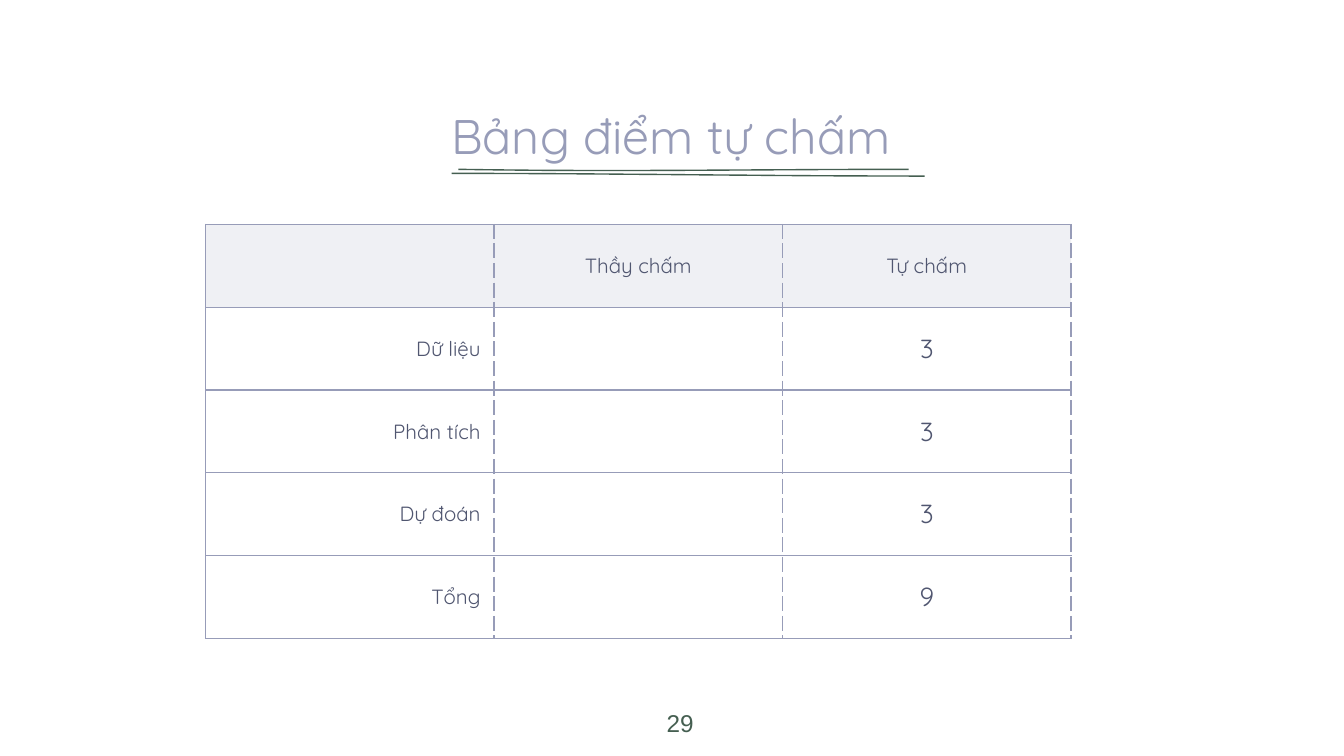
from dataclasses import dataclass

from lxml import etree
from pptx import Presentation
from pptx.dml.color import RGBColor
from pptx.enum.text import MSO_ANCHOR, MSO_AUTO_SIZE, PP_ALIGN
from pptx.oxml.ns import qn
from pptx.util import Inches, Pt

CENTER, RIGHT = PP_ALIGN.CENTER, PP_ALIGN.RIGHT
MIDDLE, BOTTOM = MSO_ANCHOR.MIDDLE, MSO_ANCHOR.BOTTOM
NO_AUTOFIT = MSO_AUTO_SIZE.NONE
TITLE_ONLY = 5


@dataclass(frozen=True)
class Theme:
    accent: str = "979CB8"
    body: str = "505670"
    green: str = "455F51"
    font: str = "Quicksand"
    number_font: str = "Arial"
    title_size: float = 26
    label_size: float = 11
    score_size: float = 14
    number_size: float = 13
    line_width: float = 0.75
    header_opacity: int = 15


THEME = Theme()

SCORES = [
    ("", "Thầy chấm", "Tự chấm"),
    ("Dữ liệu", "", "3"),
    ("Phân tích", "", "3"),
    ("Dự đoán", "", "3"),
    ("Tổng", "", "9"),
]

UNDERLINES = [
    [(3.41, 1.26), (4.53, 1.28), (5.64, 1.26), (6.76, 1.26)],
    [(3.36, 1.29), (4.53, 1.29), (5.71, 1.31), (6.88, 1.31)],
]


def format_paragraph(paragraph, size, color, alignment, font=THEME.font):
    paragraph.alignment = alignment
    paragraph.font.size = Pt(size)
    paragraph.font.name = font
    paragraph.font.bold = False
    paragraph.font.color.rgb = RGBColor.from_string(color)


def set_insets(frame, inset=0.1):
    frame.margin_left = frame.margin_right = Inches(inset)
    frame.margin_top = frame.margin_bottom = Inches(inset)


def curve_points(controls, steps=16):
    points = []
    for step in range(steps + 1):
        t = step / steps
        weights = ((1 - t) ** 3, 3 * t * (1 - t) ** 2, 3 * t**2 * (1 - t), t**3)
        points.append(tuple(
            Inches(sum(weight * control[axis] for weight, control in zip(weights, controls)))
            for axis in (0, 1)
        ))
    return points


def add_underline(slide, controls):
    start, *rest = curve_points(controls)
    builder = slide.shapes.build_freeform(*start)
    builder.add_line_segments(rest, close=False)
    underline = builder.convert_to_shape()
    underline.shadow.inherit = False
    underline.fill.background()
    underline.line.color.rgb = RGBColor.from_string(THEME.green)
    underline.line.width = Pt(THEME.line_width)


def set_title(slide, text):
    title = slide.shapes.title
    title.left, title.top = Inches(1.12), Inches(0.57)
    title.width, title.height = Inches(7.75), Inches(0.75)
    frame = title.text_frame
    frame.text = text
    frame.auto_size = NO_AUTOFIT
    frame.vertical_anchor = BOTTOM
    set_insets(frame)
    format_paragraph(frame.paragraphs[0], THEME.title_size, THEME.accent, CENTER)


def set_borders(cell, dashes):
    properties = cell._tc.get_or_add_tcPr()
    for index, (side, dash) in enumerate(dashes.items()):
        line = etree.Element(qn(f"a:ln{side}"), w=str(Pt(THEME.line_width)))
        fill = etree.SubElement(line, qn("a:solidFill"))
        etree.SubElement(fill, qn("a:srgbClr"), val=THEME.accent)
        etree.SubElement(line, qn("a:prstDash"), val=dash)
        properties.insert(index, line)


def fill_header(cell):
    cell.fill.solid()
    cell.fill.fore_color.rgb = RGBColor.from_string(THEME.accent)
    color = cell._tc.tcPr.find(f"{qn('a:solidFill')}/{qn('a:srgbClr')}")
    etree.SubElement(color, qn("a:alpha"), val=str(THEME.header_opacity * 1000))


def format_cell(cell, text, is_header, is_label):
    cell.text = text
    cell.vertical_anchor = MIDDLE
    cell.margin_left = cell.margin_right = Inches(0.1)
    cell.margin_top = cell.margin_bottom = Inches(0.07)
    size = THEME.label_size if is_header or is_label else THEME.score_size
    alignment = RIGHT if is_label else CENTER
    format_paragraph(cell.text_frame.paragraphs[0], size, THEME.body, alignment)
    if is_header:
        fill_header(cell)
    else:
        cell.fill.background()
    left_dash = "solid" if is_label else "dash"
    set_borders(cell, {"L": left_dash, "R": "dash", "T": "solid", "B": "solid"})


def add_score_table(slide, rows):
    frame = slide.shapes.add_table(
        len(rows), len(rows[0]), Inches(1.53), Inches(1.67), Inches(6.44), Inches(3.08)
    )
    table = frame.table
    table.first_row = table.horz_banding = False
    for row_index, row in enumerate(rows):
        for column_index, text in enumerate(row):
            cell = table.cell(row_index, column_index)
            format_cell(cell, text, row_index == 0, column_index == 0)


def add_page_number(slide, number):
    box = slide.shapes.add_textbox(Inches(4.76), Inches(5.17), Inches(0.6), Inches(0.33))
    frame = box.text_frame
    frame.word_wrap = True
    frame.text = number
    set_insets(frame)
    format_paragraph(
        frame.paragraphs[0], THEME.number_size, THEME.green, CENTER, THEME.number_font
    )


def main():
    presentation = Presentation()
    presentation.slide_width = Inches(10)
    presentation.slide_height = Inches(10 * 9 / 16)
    slide = presentation.slides.add_slide(presentation.slide_layouts[TITLE_ONLY])
    for controls in UNDERLINES:
        add_underline(slide, controls)
    set_title(slide, "Bảng điểm tự chấm")
    add_score_table(slide, SCORES)
    add_page_number(slide, "29")
    presentation.save("out.pptx")


if __name__ == "__main__":
    main()
